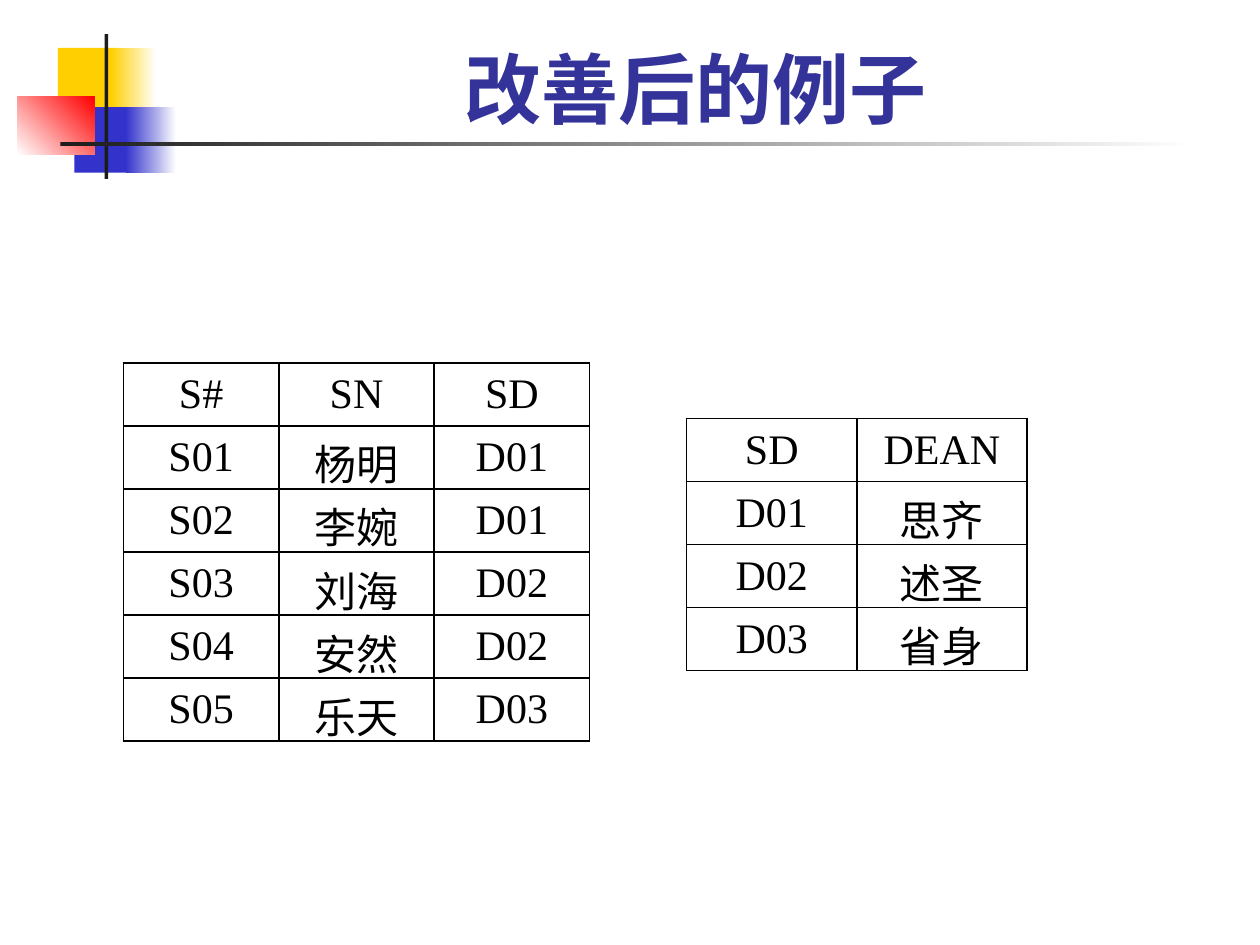
from dataclasses import dataclass

from lxml import etree
from pptx import Presentation
from pptx.dml.color import RGBColor
from pptx.enum import shapes, text
from pptx.oxml import ns
from pptx.util import Inches, Pt


@dataclass(frozen=True)
class Theme:
    yellow: str = "FFCF01"
    blue: str = "3333CC"
    red: str = "FF0000"
    dark: str = "1C1C1C"
    white: str = "FFFFFF"
    heading: str = "333399"
    ink: str = "000000"
    heading_font: str = "Lato"
    body_font: str = "Times New Roman"
    heading_size: int = 44
    body_size: int = 24
    border: int = 1


THEME = Theme()

STUDENTS = [
    ["S#", "SN", "SD"],
    ["S01", "杨明", "D01"],
    ["S02", "李婉", "D01"],
    ["S03", "刘海", "D02"],
    ["S04", "安然", "D02"],
    ["S05", "乐天", "D03"],
]
DEANS = [
    ["SD", "DEAN"],
    ["D01", "思齐"],
    ["D02", "述圣"],
    ["D03", "省身"],
]


def style_text(frame, font_name, size, color, bold=False):
    paragraph = frame.paragraphs[0]
    paragraph.alignment = text.PP_ALIGN.CENTER
    for run in paragraph.runs:
        run.font.name = font_name
        run.font.size = Pt(size)
        run.font.bold = bold
        run.font.color.rgb = RGBColor.from_string(color)


def add_block(slide, left, top, width, height, colors, angle=0):
    """Add a borderless rectangle; two colors make a gradient."""
    block = slide.shapes.add_shape(
        shapes.MSO_SHAPE.RECTANGLE, left, top, width, height)
    block.shadow.inherit = False
    block.line.fill.background()
    if len(colors) == 1:
        block.fill.solid()
        block.fill.fore_color.rgb = RGBColor.from_string(colors[0])
        return
    block.fill.gradient()
    block.fill.gradient_angle = angle
    for stop, color in zip(block.fill.gradient_stops, colors):
        stop.color.rgb = RGBColor.from_string(color)


def add_ornament(slide, left, top, width, height):
    """Overlapping squares crossed by a vertical bar and a fading rule."""
    t = THEME
    squares = [
        (0.32, 0.11, 0.48, 0.52, [t.yellow], 0),
        (0.74, 0.11, 0.36, 0.52, [t.yellow, t.white], 0),
        (0.45, 0.58, 0.46, 0.52, [t.blue], 0),
        (0.86, 0.58, 0.4, 0.52, [t.blue, t.white], 0),
        (0, 0.5, 0.61, 0.46, [t.white, t.red], 45),
    ]
    for dx, dy, w, h, colors, angle in squares:
        add_block(slide, left + Inches(dx), top + Inches(dy),
                  Inches(w), Inches(h), colors, angle)
    thickness = Inches(0.03)
    rule_inset = Inches(0.34)
    add_block(slide, left + Inches(0.69), top, thickness, height, [t.dark])
    add_block(slide, left + rule_inset, top + Inches(0.86),
              width - rule_inset, thickness, [t.dark, t.white])


def add_title(slide, left, top, width, height, wording):
    frame = slide.shapes.add_textbox(left, top, width, height).text_frame
    frame.word_wrap = True
    frame.vertical_anchor = text.MSO_ANCHOR.BOTTOM
    frame.text = wording
    style_text(frame, THEME.heading_font, THEME.heading_size,
               THEME.heading, bold=True)


def set_borders(cell):
    properties = cell._tc.get_or_add_tcPr()
    for index, side in enumerate(("lnL", "lnR", "lnT", "lnB")):
        line = etree.Element(ns.qn(f"a:{side}"), w=str(Pt(THEME.border)))
        fill = etree.SubElement(line, ns.qn("a:solidFill"))
        etree.SubElement(fill, ns.qn("a:srgbClr"), val=THEME.ink)
        properties.insert(index, line)


def add_relation(slide, left, top, width, height, rows):
    """Add a bordered table with equal columns and rows."""
    table = slide.shapes.add_table(
        len(rows), len(rows[0]), left, top, width, height).table
    table.first_row = False
    table.horz_banding = False
    for r, row in enumerate(rows):
        for c, value in enumerate(row):
            cell = table.cell(r, c)
            cell.text_frame.text = value
            cell.vertical_anchor = text.MSO_ANCHOR.MIDDLE
            cell.fill.background()
            set_borders(cell)
            style_text(cell.text_frame, THEME.body_font,
                       THEME.body_size, THEME.ink)


def main():
    deck = Presentation()
    deck.slide_width, deck.slide_height = Inches(10), Inches(7.5)
    slide = deck.slides.add_slide(deck.slide_layouts[6])
    add_ornament(slide, Inches(0.14), Inches(0.27), Inches(9.34), Inches(1.15))
    add_title(slide, Inches(1.26), Inches(0.17), Inches(8.52), Inches(0.94),
              "改善后的例子")
    add_relation(slide, Inches(0.98), Inches(2.88), Inches(3.7), Inches(3),
                 STUDENTS)
    add_relation(slide, Inches(5.45), Inches(3.32), Inches(2.7), Inches(2),
                 DEANS)
    deck.save("out.pptx")


if __name__ == "__main__":
    main()
